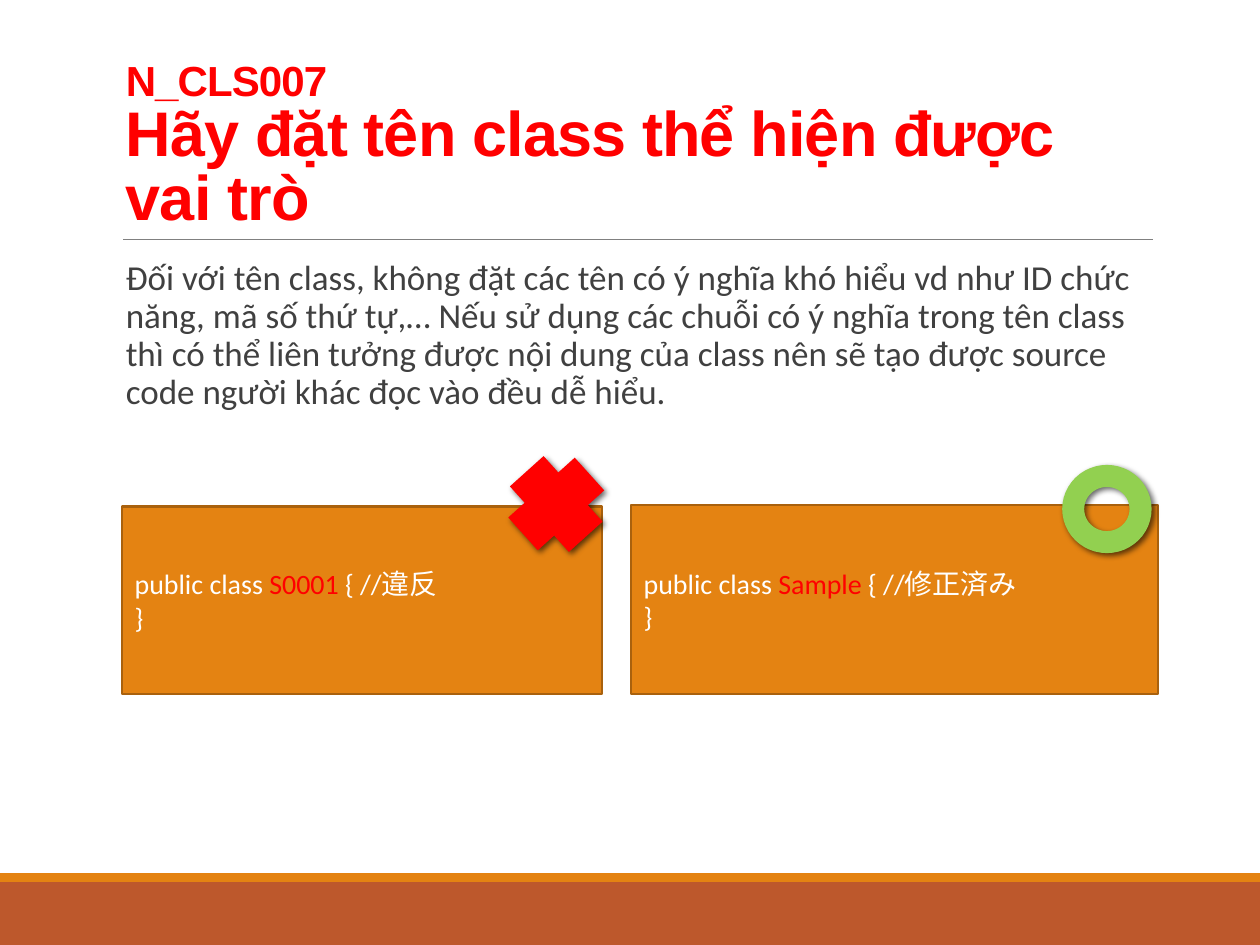
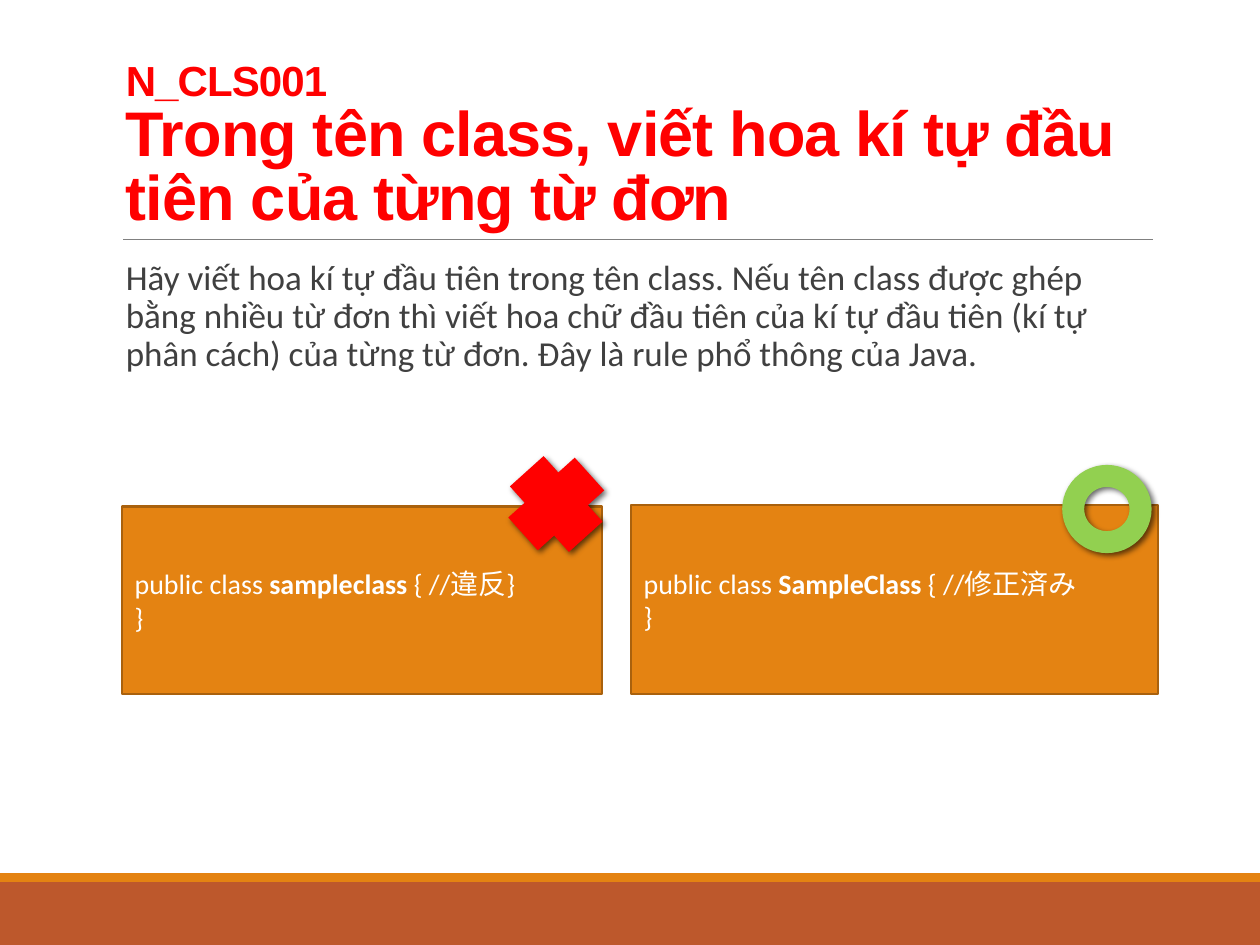
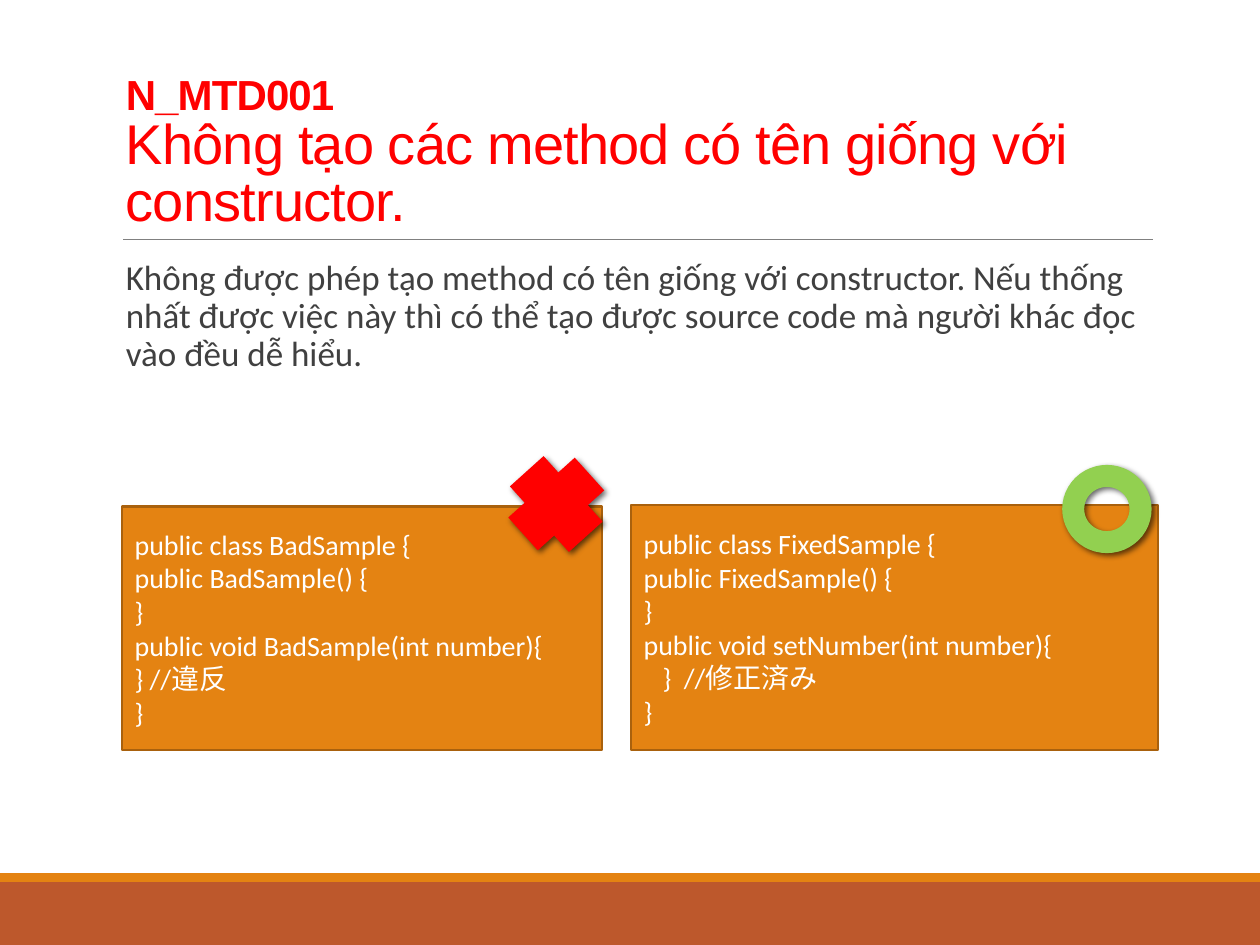
from dataclasses import dataclass

from lxml.etree import SubElement
from pptx import Presentation
from pptx.dml.color import RGBColor
from pptx.enum.shapes import MSO_CONNECTOR, MSO_SHAPE as Preset
from pptx.enum.text import MSO_ANCHOR as Anchor, PP_ALIGN as Align
from pptx.oxml.ns import qn
from pptx.util import Inches, Pt

# Colours and fonts
RUST = RGBColor(0xBD, 0x58, 0x2C)
ORANGE = RGBColor(0xE4, 0x83, 0x12)
BROWN = RGBColor(0xA9, 0x61, 0x0D)
RED = RGBColor(0xFF, 0x00, 0x00)
GREEN = RGBColor(0x92, 0xD0, 0x50)
GREY = RGBColor(0x80, 0x80, 0x80)
DARK = RGBColor(0x40, 0x40, 0x40)
WHITE = RGBColor(0xFF, 0xFF, 0xFF)
TITLE_FONT = "Arial"
BODY_FONT = "Calibri"


@dataclass(frozen=True)
class Box:
    left: float
    top: float
    width: float
    height: float

    def lengths(self) -> tuple:
        return tuple(Inches(v) for v in (self.left, self.top, self.width, self.height))


@dataclass(frozen=True)
class Span:
    text: str
    color: RGBColor | None = None
    bold: bool | None = None
    size: float | None = None


@dataclass(frozen=True)
class Rule:
    code: str
    title: Span
    explanation: str
    bad: list  # each code line is a list of spans
    good: list
    code_bottom: float = 5.51


# Shared places
TITLE_BOX = Box(0.9, 0.31, 8.25, 1.59)
BODY_BOX = Box(0.9, 2.02, 8.25, 4.4)
BANDS = [(Box(0, 7, 10, 0.5), RUST), (Box(0, 6.93, 10, 0.07), ORANGE)]
CROSS_BOX = Box(4.06, 3.65, 0.71, 0.7)
RING_BOX = Box(8.43, 3.69, 0.71, 0.7)


def write(shape, paragraphs: list, *, font: str, size: float, color: RGBColor,
          bold: bool = False, anchor=Anchor.TOP, line_spacing: float = 1.0,
          letter_spacing: float = 0) -> None:
    """Fill a shape with paragraphs of spans; a "\n" span is a line break."""
    frame = shape.text_frame
    frame.word_wrap = True
    frame.vertical_anchor = anchor
    for index, spans in enumerate(paragraphs):
        para = frame.add_paragraph() if index else frame.paragraphs[0]
        para.alignment = Align.LEFT
        para.line_spacing = line_spacing
        for span in spans:
            if span.text == "\n":
                para.add_line_break()
                continue
            run = para.add_run()
            run.text = span.text
            run.font.name = font
            run.font.size = Pt(span.size or size)
            run.font.bold = bold if span.bold is None else span.bold
            run.font.color.rgb = span.color or color
            if letter_spacing:
                run.font._element.set("spc", str(round(letter_spacing * 100)))


def add_preset(page, preset, box: Box, fill: RGBColor, line: RGBColor | None = None):
    shape = page.shapes.add_shape(preset, *box.lengths())
    shape.fill.solid()
    shape.fill.fore_color.rgb = fill
    if line is None:
        shape.line.fill.background()
    else:
        shape.line.color.rgb = line
        shape.line.width = Pt(1.25)
    shape.shadow.inherit = False
    return shape


def add_mark(page, preset, box: Box, fill: RGBColor, rotation: float = 0) -> None:
    """Draw a verdict mark with a soft shadow to the lower right."""
    mark = add_preset(page, preset, box, fill)
    mark.rotation = rotation
    effects = mark._element.spPr.find(qn("a:effectLst"))
    shadow = SubElement(effects, qn("a:outerShdw"), blurRad=str(Pt(3.5)),
                        dist=str(Pt(2)), dir=str(45 * 60000), rotWithShape="0")
    tint = SubElement(shadow, qn("a:srgbClr"), val="000000")
    SubElement(tint, qn("a:alpha"), val="60000")


def add_frame(page) -> None:
    """Footer bands and the line under the title."""
    for box, fill in BANDS:
        add_preset(page, Preset.RECTANGLE, box, fill)
    line = page.shapes.add_connector(MSO_CONNECTOR.STRAIGHT, Inches(0.98), Inches(1.9),
                                     Inches(9.15), Inches(1.9))
    line.line.color.rgb = GREY
    line.line.width = Pt(0.5)
    SubElement(line._element.spPr, qn("a:effectLst"))


def add_code(page, left: float, top: float, width: float, bottom: float,
             lines: list) -> None:
    box = Box(left, top, width, bottom - top)
    panel = add_preset(page, Preset.RECTANGLE, box, ORANGE, BROWN)
    write(panel, lines, font=BODY_FONT, size=16, color=WHITE, anchor=Anchor.MIDDLE)


def add_rule(deck, rule: Rule) -> None:
    page = deck.slides.add_slide(deck.slide_layouts[6])
    add_frame(page)
    # Title and explanation
    title = page.shapes.add_textbox(*TITLE_BOX.lengths())
    write(title, [[Span(rule.code, size=24), Span("\n"), rule.title]],
          font=TITLE_FONT, size=36, color=RED, bold=True, anchor=Anchor.BOTTOM,
          line_spacing=0.85, letter_spacing=-0.5)
    body = page.shapes.add_textbox(*BODY_BOX.lengths())
    body.text_frame.margin_right = 0
    write(body, [[Span(rule.explanation)]], font=BODY_FONT, size=20, color=DARK,
          line_spacing=0.9)
    # Code panels and verdict marks
    add_code(page, 0.97, 4.02, 3.81, rule.code_bottom, rule.bad)
    add_code(page, 5.01, 4.01, 4.18, rule.code_bottom, rule.good)
    add_mark(page, Preset.CROSS, CROSS_BOX, RED, rotation=318)
    add_mark(page, Preset.DONUT, RING_BOX, GREEN)


def class_code(name: Span, ending: str) -> list:
    return [[Span("public class "), name, Span(ending)], [Span("}")]]


def plain_code(*lines: str) -> list:
    return [[Span(line)] for line in lines]


RULES = [
    Rule(
        "N_CLS007",
        Span("Hãy đặt tên class thể hiện được vai trò"),
        "Đối với tên class, không đặt các tên có ý nghĩa khó hiểu vd như ID chức năng, "
        "mã số thứ tự,… Nếu sử dụng các chuỗi có ý nghĩa trong tên class thì có thể "
        "liên tưởng được nội dung của class nên sẽ tạo được source code người khác "
        "đọc vào đều dễ hiểu.",
        class_code(Span("S0001", color=RED), " { //違反"),
        class_code(Span("Sample", color=RED), " { //修正済み"),
    ),
    Rule(
        "N_CLS001",
        Span("Trong tên class, viết hoa kí tự đầu tiên của từng từ đơn"),
        "Hãy viết hoa kí tự đầu tiên trong tên class. Nếu tên class được ghép bằng "
        "nhiều từ đơn thì viết hoa chữ đầu tiên của kí tự đầu tiên (kí tự phân cách) "
        "của từng từ đơn. Đây là rule phổ thông của Java.",
        class_code(Span("sampleclass", bold=True), " { //違反}"),
        class_code(Span("SampleClass", bold=True), " { //修正済み"),
    ),
    Rule(
        "N_MTD001",
        Span("Không tạo các method có tên giống với constructor.", bold=False, size=32),
        "Không được phép tạo method có tên giống với constructor. Nếu thống nhất được "
        "việc này thì có thể tạo được source code mà người khác đọc vào đều dễ hiểu.",
        plain_code("public class BadSample {", "public BadSample() {", "}",
                   "public void BadSample(int number){", "} //違反", "}"),
        plain_code("public class FixedSample {", "public FixedSample() {", "}",
                   "public void setNumber(int number){", "   }  //修正済み", "}"),
        code_bottom=5.95,
    ),
]


def main() -> None:
    deck = Presentation()
    deck.slide_width, deck.slide_height = Inches(10), Inches(7.5)
    for rule in RULES:
        add_rule(deck, rule)
    deck.save("out.pptx")


if __name__ == "__main__":
    main()
